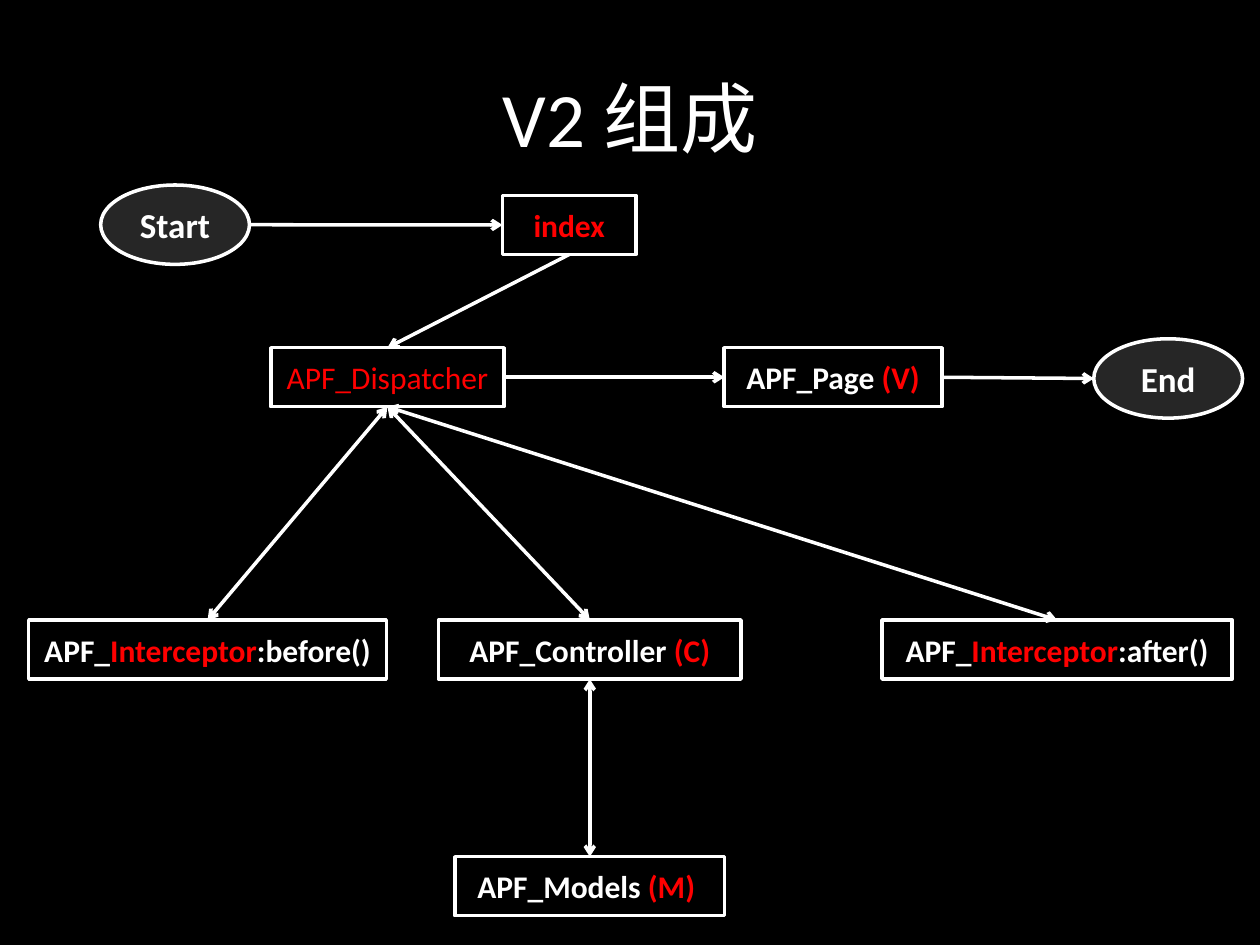
import pptx
import pptx.util
import pptx.dml.color
import pptx.enum.shapes
import pptx.enum.text
import pptx.oxml
import pptx.oxml.ns
from dataclasses import dataclass

Cm = pptx.util.Cm
Pt = pptx.util.Pt
Kind = pptx.enum.shapes.MSO_SHAPE
Color = pptx.dml.color.RGBColor.from_string


@dataclass
class Theme:
    back: str = "000000"
    oval: str = "262626"
    ink: str = "FFFFFF"
    mark: str = "FF0000"
    font: str = "Calibri"
    head: int = 44
    large: int = 20
    body: int = 18
    rule: int = 2


def assign(item, values):
    for name, value in values.items():
        setattr(item, name, value)


class Chart:
    def __init__(self, deck, theme):
        self.theme = theme
        self.slide = deck.slides.add_slide(deck.slide_layouts[5])
        self.paint(self.slide.background.fill, theme.back)

    def paint(self, fill, color):
        fill.solid()
        fill.fore_color.rgb = Color(color)

    def label(self, shape, runs, size, bold):
        frame = shape.text_frame
        assign(frame, {"word_wrap": True,
                       "vertical_anchor": pptx.enum.text.MSO_ANCHOR.MIDDLE})
        line = frame.paragraphs[0]
        line.alignment = pptx.enum.text.PP_ALIGN.CENTER
        for text, color in runs:
            run = line.add_run()
            run.text = text
            assign(run.font, {"name": self.theme.font, "size": Pt(size), "bold": bold})
            run.font.color.rgb = Color(color)

    def title(self, text, left, top, width, height):
        shape = self.slide.shapes.title
        assign(shape, {"left": Cm(left), "top": Cm(top),
                       "width": Cm(width), "height": Cm(height)})
        self.label(shape, [(text, self.theme.ink)], self.theme.head, False)

    def node(self, kind, place, fill, runs, size, bold):
        shape = self.slide.shapes.add_shape(kind, *map(Cm, place))
        shape.shadow.inherit = False
        self.paint(shape.fill, fill)
        self.stroke(shape.line)
        self.label(shape, runs, size, bold)
        return shape

    def box(self, left, top, width, runs, bold=True):
        return self.node(Kind.RECTANGLE, (left, top, width, 1.19),
                         self.theme.back, runs, self.theme.body, bold)

    def oval(self, left, top, text):
        return self.node(Kind.OVAL, (left, top, 3, 1.6), self.theme.oval,
                         [(text, self.theme.ink)], self.theme.large, True)

    def stroke(self, line):
        line.width = Pt(self.theme.rule)
        line.color.rgb = Color(self.theme.ink)

    def point(self, shape, side):
        across, down = {"top": (0.5, 0), "left": (0, 0.5),
                        "bottom": (0.5, 1), "right": (1, 0.5)}[side]
        return (int(shape.left + across * shape.width),
                int(shape.top + down * shape.height))

    def arrow(self, first, leave, last, enter, both=False):
        link = self.slide.shapes.add_connector(
            pptx.enum.shapes.MSO_CONNECTOR.STRAIGHT,
            *self.point(first, leave), *self.point(last, enter))
        sites = ["top", "left", "bottom", "right"]
        for shape, side, join in ((first, leave, link.begin_connect),
                                  (last, enter, link.end_connect)):
            if shape.auto_shape_type == Kind.RECTANGLE:
                join(shape, sites.index(side))
        self.stroke(link.line)
        edge = link.line._get_or_add_ln()
        for tag in ["a:headEnd", "a:tailEnd"] if both else ["a:tailEnd"]:
            tip = pptx.oxml.parse_xml(
                f'<{tag} {pptx.oxml.ns.nsdecls("a")} type="arrow"/>')
            edge.append(tip)
        link._element.spPr.append(pptx.oxml.parse_xml(
            f'<a:effectLst {pptx.oxml.ns.nsdecls("a")}/>'))


deck = pptx.Presentation()
assign(deck, {"slide_width": Cm(25.4), "slide_height": Cm(19.05)})
theme = Theme()
ink, mark = theme.ink, theme.mark
chart = Chart(deck, theme)
chart.title("V2 组成", 1.27, 0.76, 22.86, 3.18)

upper, lower = 7.01, 12.5
start = chart.oval(2.03, 3.73, "Start")
end = chart.oval(22.05, 6.83, "End")
index = chart.box(10.13, 3.94, 2.69, [("index", mark)])
hub = chart.box(5.46, upper, 4.7, [("APF_Dispatcher", mark)], False)
page = chart.box(14.6, upper, 4.39, [("APF_Page", ink), (" (V)", mark)])
before, after = [
    chart.box(left, lower, width,
              [("APF_", ink), ("Interceptor", mark), (f":{call}()", ink)])
    for left, width, call in ((0.58, 7.21, "before"), (17.78, 7.06, "after"))]
control = chart.box(8.84, lower, 6.1, [("APF_Controller ", ink), ("(C)", mark)])
models = chart.box(9.17, 17.27, 5.44, [("APF_Models ", ink), ("(M) ", mark)])

for first, last in ((start, index), (hub, page), (page, end)):
    chart.arrow(first, "right", last, "left")
chart.arrow(index, "bottom", hub, "top")
for first, last in ((hub, before), (hub, control), (hub, after), (control, models)):
    chart.arrow(first, "bottom", last, "top", True)

deck.save("out.pptx")
